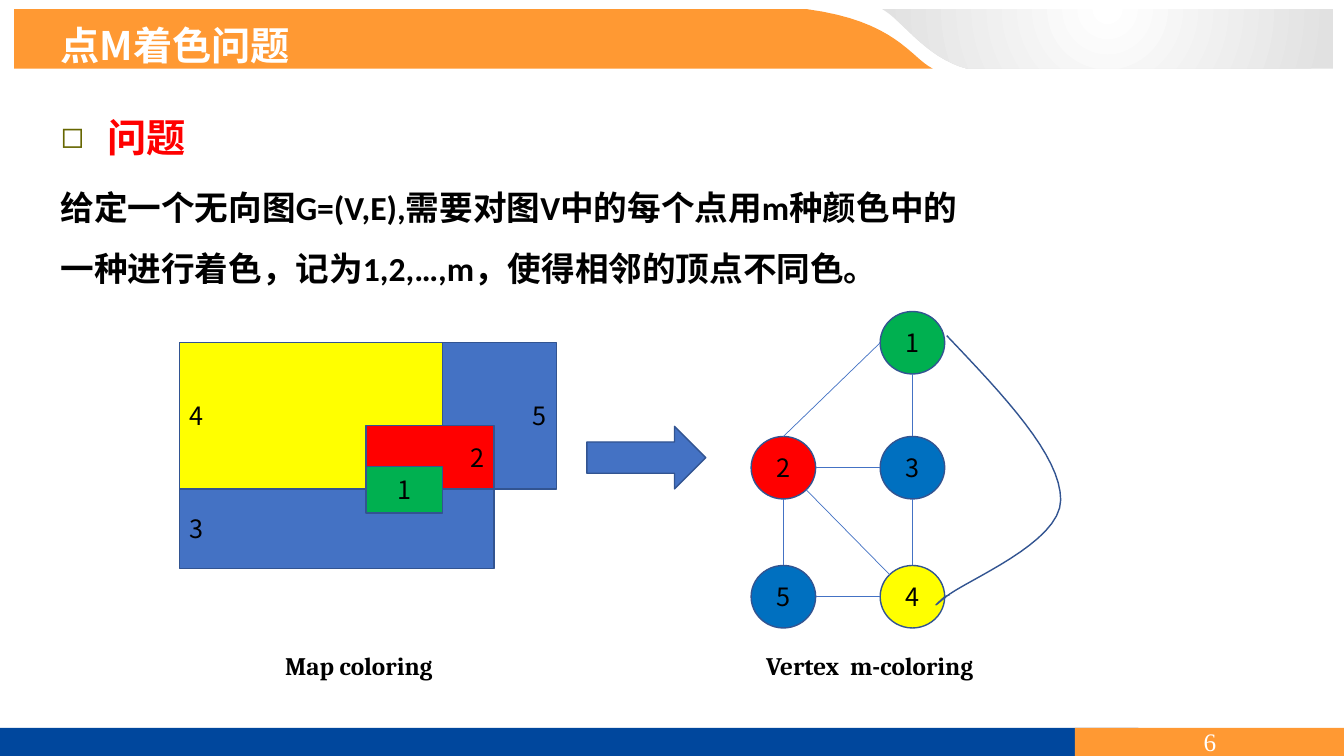
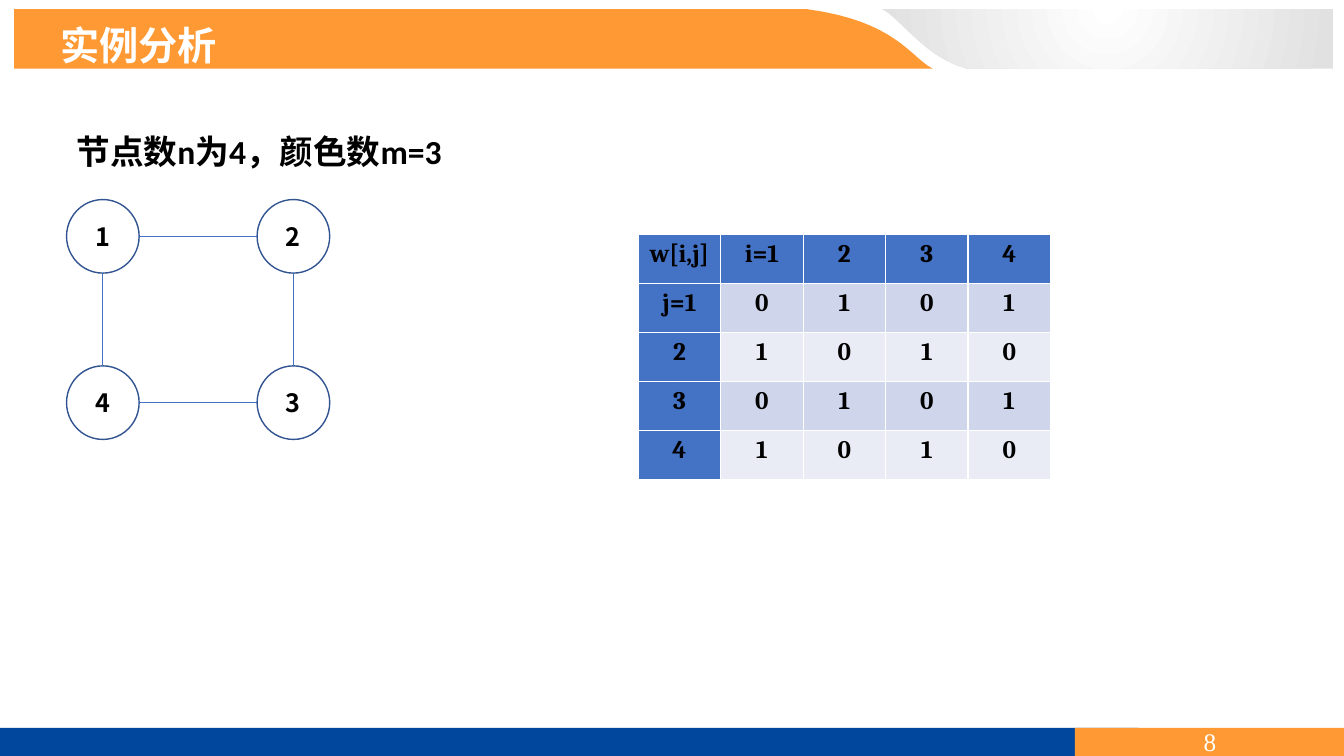
from math import cos, pi, sin

from lxml import etree
from pptx import Presentation
from pptx import util as u
from pptx.dml.color import RGBColor
from pptx.enum import shapes, text
from pptx.oxml.ns import qn

ORANGE = RGBColor(0xFF, 0x99, 0x33)
NAVY = RGBColor(0x00, 0x47, 0x9D)
SILVER = RGBColor(0xE1, 0xE1, 0xE1)
WHITE = RGBColor(0xFF, 0xFF, 0xFF)
BLACK = RGBColor(0x00, 0x00, 0x00)
RED = RGBColor(0xFF, 0x00, 0x00)
YELLOW = RGBColor(0xFF, 0xFF, 0x00)
GREEN = RGBColor(0x00, 0xB0, 0x50)
AZURE = RGBColor(0x00, 0x70, 0xC0)
BLUE = RGBColor(0x44, 0x72, 0xC4)
EDGE = RGBColor(0x32, 0x54, 0x91)
BAND_A = RGBColor(0xCF, 0xD5, 0xEA)
BAND_B = RGBColor(0xE9, 0xEB, 0xF5)

HAN = "Noto Sans CJK SC"
LATIN = "Calibri"
SERIF = "Cambria"
KIND = shapes.MSO_SHAPE
LEFT, MID, RIGHT = text.PP_ALIGN.LEFT, text.PP_ALIGN.CENTER, text.PP_ALIGN.RIGHT

# Connection sites of a circle, counted anticlockwise from the top
TOP, TOP_L, WEST, FOOT, FOOT_R, EAST = 0, 1, 2, 4, 5, 6


def bend(a, b, c, d, steps=16):
    """Return points along a cubic curve, without its start."""
    pts = []
    for i in range(1, steps + 1):
        t = i / steps
        s = 1 - t
        pts.append(tuple(s**3 * p + 3 * s * s * t * q + 3 * s * t * t * r + t**3 * e
                         for p, q, r, e in zip(a, b, c, d)))
    return pts


def site(node, idx):
    """Return the place of a connection site on a circle."""
    turn = idx * pi / 4
    return (round(node.left + node.width / 2 * (1 - sin(turn))),
            round(node.top + node.height / 2 * (1 - cos(turn))))


class Deck:
    """Holds the style and the current slide."""

    def __init__(self):
        self.prs = Presentation()
        self.prs.slide_width = u.Inches(13.33)
        self.prs.slide_height = u.Inches(7.5)
        self.base = self.prs.slide_layouts[1]
        self.slide = None

    def start(self, title, page):
        self.slide = self.prs.slides.add_slide(self.base)
        if len(self.prs.slides) == 1:
            self.bands()
        head = self.slide.shapes.title
        frame = self.place(head, 0.5, 0.16, 6.84, 0.57)
        self.run(self.para(frame), title, 28, HAN, WHITE, True)
        self.label(page, 10.66, 7.22, 2.68, 0.28, "Times New Roman", WHITE, False, MID)

    def bands(self):
        """Draw the header and footer bands and move them to the layout."""
        a, b = (8, 0.09), (9.25, 0.68)
        wave = [(0.14, 0.09), a, *bend(a, (8.89, 0.21), (9.03, 0.57), b), (0.14, 0.68)]
        a, b = (9.59, 0.68), (8.75, 0.09)
        tail = [(13.22, 0.68), a, *bend(a, (9.18, 0.57), (8.96, 0.21), b), (13.22, 0.09)]
        sheen = self.free(tail, SILVER)
        self.glow(sheen)
        parts = [
            self.free(wave, ORANGE),
            sheen,
            self.shape(KIND.RECTANGLE, 0, 7.22, 11.29, 0.28, NAVY, edge=None),
            self.shape(KIND.RECTANGLE, 10.66, 7.22, 2.68, 0.28, ORANGE, edge=None),
        ]
        tree = self.base.shapes.element
        for i, part in enumerate(parts):
            tree.insert(2 + i, part.element)

    def glow(self, shape):
        """Fill with a round gradient centred above the shape."""
        shape.fill.gradient()
        for stop, tint in zip(shape.fill.gradient_stops, (WHITE, SILVER)):
            stop.color.rgb = tint
        grad = shape.element.spPr.find(qn("a:gradFill"))
        grad.remove(grad.find(qn("a:lin")))
        way = etree.SubElement(grad, qn("a:path"), path="circle")
        etree.SubElement(way, qn("a:fillToRect"),
                         l="50000", t="-80000", r="50000", b="180000")

    def place(self, box, x, y, w, h):
        """Move a text holder and return its frame, wrapped and set to the top."""
        box.left, box.top = u.Inches(x), u.Inches(y)
        box.width, box.height = u.Inches(w), u.Inches(h)
        frame = box.text_frame
        frame.word_wrap = True
        frame.auto_size = text.MSO_AUTO_SIZE.NONE
        frame.vertical_anchor = text.MSO_ANCHOR.TOP
        return frame

    def body(self, x, y, w, h):
        return self.place(self.slide.placeholders[1], x, y, w, h)

    def para(self, frame, align=LEFT, fresh=False, space=0, lead=1.0, mark=None):
        """Set up the first paragraph, or a fresh one, with or without a bullet."""
        par = frame.add_paragraph() if fresh else frame.paragraphs[0]
        par.alignment = align
        par.space_before = u.Pt(space)
        par.line_spacing = lead
        ppr = par._p.get_or_add_pPr()
        hang = u.Inches(0.38) if mark else 0
        ppr.set("marL", str(hang))
        ppr.set("indent", str(-hang))
        if mark:
            tint = etree.SubElement(ppr, qn("a:buClr"))
            etree.SubElement(tint, qn("a:srgbClr"), val="666600")
            etree.SubElement(ppr, qn("a:buSzPct"), val="75000")
            etree.SubElement(ppr, qn("a:buFont"), typeface="DejaVu Sans")
            etree.SubElement(ppr, qn("a:buChar"), char=mark)
        else:
            etree.SubElement(ppr, qn("a:buNone"))
        return par

    def run(self, par, words, size, face, tint=BLACK, bold=False):
        run = par.add_run()
        run.text = words
        font = run.font
        font.size, font.bold = u.Pt(size), bold
        font.color.rgb = tint
        font.name = face
        etree.SubElement(run._r.get_or_add_rPr(), qn("a:ea"), typeface=HAN)

    def label(self, words, x, y, w, h, face=SERIF, tint=BLACK, bold=True, align=LEFT):
        box = self.slide.shapes.add_textbox(0, 0, 0, 0)
        frame = self.place(box, x, y, w, h)
        if align == MID:
            frame.vertical_anchor = text.MSO_ANCHOR.MIDDLE
        self.run(self.para(frame, align), words, 18, face, tint, bold)

    def paint(self, shape, fill, edge):
        shape.shadow.inherit = False
        if fill is None:
            shape.fill.background()
        else:
            shape.fill.solid()
            shape.fill.fore_color.rgb = fill
        if edge is None:
            shape.line.fill.background()
        else:
            shape.line.color.rgb = edge
            shape.line.width = u.Pt(1)
        return shape

    def shape(self, kind, x, y, w, h, fill, words="", align=MID, bold=False, edge=EDGE):
        item = self.slide.shapes.add_shape(
            kind, u.Inches(x), u.Inches(y), u.Inches(w), u.Inches(h))
        self.paint(item, fill, edge)
        if words:
            frame = item.text_frame
            frame.vertical_anchor = text.MSO_ANCHOR.MIDDLE
            self.run(self.para(frame, align), words, 18, HAN, BLACK, bold)
        return item

    def free(self, pts, fill=None, edge=None):
        """Draw an outline; one without a fill stays open."""
        pts = [(u.Inches(x), u.Inches(y)) for x, y in pts]
        pen = self.slide.shapes.build_freeform(*pts[0])
        pen.add_line_segments(pts[1:], close=fill is not None)
        return self.paint(pen.convert_to_shape(), fill, edge)

    def link(self, a, from_site, b, to_site):
        """Join two circles at the given connection sites."""
        line = self.slide.shapes.add_connector(
            shapes.MSO_CONNECTOR.STRAIGHT, *site(a, from_site), *site(b, to_site))
        line.line.color.rgb = BLUE
        line.line.width = u.Pt(0.5)
        etree.SubElement(line.element.spPr, qn("a:effectLst"))
        ends = line.element.nvCxnSpPr.cNvCxnSpPr
        for tag, node, idx in (("a:stCxn", a, from_site), ("a:endCxn", b, to_site)):
            etree.SubElement(ends, qn(tag), id=str(node.shape_id), idx=str(idx))

    def table(self, rows, x, y, w, h):
        """Add a grid with a dark first row and column, and banded values."""
        grid = self.slide.shapes.add_table(
            len(rows), len(rows[0]), u.Inches(x), u.Inches(y), u.Inches(w), u.Inches(h)).table
        grid.first_col = True
        for r, row in enumerate(rows):
            for c, words in enumerate(row):
                cell = grid.cell(r, c)
                cell.fill.solid()
                band = BAND_A if r % 2 else BAND_B
                cell.fill.fore_color.rgb = band if r and c else BLUE
                par = cell.text_frame.paragraphs[0]
                par.alignment = MID
                self.run(par, words, 18, SERIF, BLACK, True)


def problem(deck):
    deck.start("点M着色问题", "6")
    frame = deck.body(0.5, 1.07, 9.29, 2.16)
    par = deck.para(frame, mark="◻")
    deck.run(par, " ", 28, "DejaVu Sans", BLACK, True)
    deck.run(par, "问题", 28, HAN, RED, True)
    par = deck.para(frame, fresh=True, space=5, lead=1.5)
    deck.run(par, "给定一个无向图G=(V,E),需要对图V中的每个点用m种颜色中的一种进行着色，"
                  "记为1,2,…,m，使得相邻的顶点不同色。", 24, LATIN, BLACK, True)

    for words, x, y, w, h, fill, align in (
        ("4", 1.78, 3.4, 2.61, 1.45, YELLOW, LEFT),
        ("5", 4.39, 3.4, 1.13, 1.45, BLUE, RIGHT),
        ("3", 1.78, 4.85, 3.12, 0.79, BLUE, LEFT),
        ("2", 3.63, 4.22, 1.27, 0.63, RED, RIGHT),
        ("1", 3.63, 4.63, 0.76, 0.46, GREEN, MID),
    ):
        deck.shape(KIND.RECTANGLE, x, y, w, h, fill, words, align)
    deck.shape(KIND.RIGHT_ARROW, 5.82, 4.23, 1.18, 0.62, BLUE)

    west, east = 7.45, 8.73
    node = {
        words: deck.shape(KIND.FLOWCHART_CONNECTOR, x, y, 0.64, 0.62, fill, words)
        for words, x, y, fill in (
            ("2", west, 4.33, RED), ("5", west, 5.61, AZURE), ("1", east, 3.09, GREEN),
            ("3", east, 4.33, AZURE), ("4", east, 5.61, YELLOW))
    }
    for a, out, b, into in (
        ("2", TOP, "1", WEST), ("2", EAST, "3", WEST), ("2", FOOT, "5", TOP),
        ("2", FOOT_R, "4", TOP_L), ("5", EAST, "4", WEST),
        ("1", FOOT, "3", TOP), ("3", FOOT, "4", TOP),
    ):
        deck.link(node[a], out, node[b], into)

    arc = [(9.39, 3.33)]
    for b, c, d in (
        ((9.96, 3.93), (10.52, 4.52), (10.52, 4.96)),
        ((10.52, 5.39), (9.57, 5.76), (9.37, 5.93)),
        ((9.18, 6.09), (9.36, 5.93), (9.36, 5.93)),
        ((9.37, 5.92), (9.39, 5.91), (9.42, 5.9)),
    ):
        arc += bend(arc[-1], b, c, d)
    deck.free(arc, edge=EDGE)
    deck.label("Map coloring", 2.73, 6.4, 2.06, 0.4)
    deck.label("Vertex  m-coloring", 7.5, 6.4, 2.72, 0.4)


def example(deck):
    deck.start("实例分析", "8")
    par = deck.para(deck.body(0.66, 1.05, 5.7, 0.73), lead=1.5)
    deck.run(par, "节点数n为4，颜色数m=3", 24, LATIN, BLACK, True)

    one, two, three, four = (
        deck.shape(KIND.FLOWCHART_CONNECTOR, x, y, 0.72, 0.73, None, words, bold=True)
        for words, x, y in (("1", 0.66, 1.98), ("2", 2.55, 1.98),
                            ("3", 2.55, 3.63), ("4", 0.66, 3.63)))
    for a, b in ((one, two), (four, three)):
        deck.link(a, EAST, b, WEST)
    for a, b in ((one, four), (two, three)):
        deck.link(a, FOOT, b, TOP)

    deck.table([
        ("w[i,j]", "i=1", "2", "3", "4"),
        ("j=1", "0", "1", "0", "1"),
        ("2", "1", "0", "1", "0"),
        ("3", "0", "1", "0", "1"),
        ("4", "1", "0", "1", "0"),
    ], 6.33, 2.33, 4.09, 2.43)


def main():
    deck = Deck()
    problem(deck)
    example(deck)
    deck.prs.save("out.pptx")


if __name__ == "__main__":
    main()
